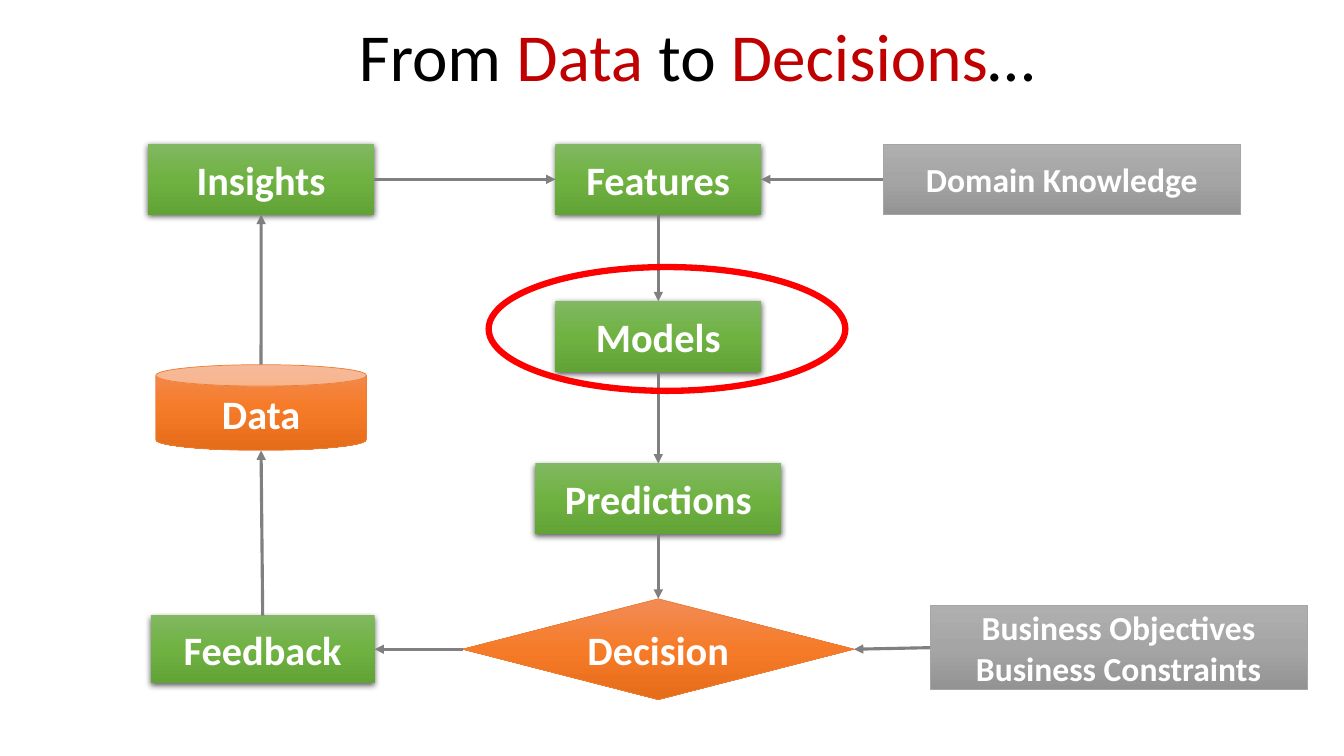
"""Build a flowchart slide that leads from data to decisions."""
from lxml.etree import SubElement
from pptx import Presentation
from pptx.dml.color import RGBColor
from pptx.enum.shapes import MSO_CONNECTOR as Connector, MSO_SHAPE as Shape
from pptx.enum.text import MSO_ANCHOR as Anchor, PP_ALIGN as Align
from pptx.oxml.ns import qn
from pptx.util import Cm, Pt

COLORS = {
    "black": "000000", "white": "FFFFFF", "accent": "C00000",
    "arrow": "808080", "ring": "FF0000", "orange": "ED7D31", "gray": "A5A5A5",
}
GRADIENTS = {
    "green": ("81B861", "6FB242", "62A336"),
    "orange": ("F18C57", "F67B28", "E56C19"),
    "gray": ("AFAFAF", "A5A5A5", "939393"),
}
TOP, LEFT, BOTTOM, RIGHT = range(4)


class FlowSlide:
    font = "Calibri"

    def __init__(self, page):
        self.page = page

    def color(self, name):
        return RGBColor.from_string(COLORS[name])

    def style(self, para, size, bold=False):
        para.alignment = Align.CENTER
        para.font.name = self.font
        para.font.size = Pt(size)
        para.font.bold = bold

    def title(self, pieces):
        box = self.page.shapes.add_textbox(Cm(1), Cm(0.13), Cm(31.98), Cm(2.74))
        frame = box.text_frame
        frame.word_wrap = True
        frame.vertical_anchor = Anchor.MIDDLE
        frame.margin_left, frame.margin_right = Cm(1.27), Cm(0.13)
        frame.margin_top = frame.margin_bottom = 0
        para = frame.paragraphs[0]
        self.style(para, 48)
        para.line_spacing = 0.9
        for text, color in pieces:
            span = para.add_run()
            span.text = text
            span.font.color.rgb = self.color(color)

    def shape(self, kind, x, y, width, height):
        shape = self.page.shapes.add_shape(
            kind, Cm(x - width / 2), Cm(y - height / 2), Cm(width), Cm(height))
        shape.shadow.inherit = False
        return shape

    def gradient(self, shape, name):
        shape.fill.gradient()
        shape.fill.gradient_angle = 270
        stops = shape._element.spPr.find(qn("a:gradFill")).find(qn("a:gsLst"))
        for stop in list(stops):
            stops.remove(stop)
        for index, value in enumerate(GRADIENTS[name]):
            stop = SubElement(stops, qn("a:gs"), pos=str(index * 50000))
            SubElement(stop, qn("a:srgbClr"), val=value)

    def drop_shadow(self, shape):
        effects = shape._element.spPr.find(qn("a:effectLst"))
        shadow = SubElement(
            effects, qn("a:outerShdw"), blurRad=str(Pt(4.5)), dist=str(Pt(1.5)),
            dir="5400000", algn="ctr", rotWithShape="0")
        tint = SubElement(shadow, qn("a:srgbClr"), val=COLORS["black"])
        SubElement(tint, qn("a:alpha"), val="63000")

    def node(self, lines, x, y, width, height=1.78, look="green",
             kind=Shape.RECTANGLE, size=28.8):
        node = self.shape(kind, x, y, width, height)
        self.gradient(node, look)
        if look == "green":
            node.line.fill.background()
            self.drop_shadow(node)
        else:
            node.line.color.rgb = self.color(look)
            node.line.width = Pt(0.5)
        frame = node.text_frame
        frame.word_wrap = True
        frame.vertical_anchor = Anchor.MIDDLE
        for index, text in enumerate(lines):
            para = frame.add_paragraph() if index else frame.paragraphs[0]
            para.text = text
            self.style(para, size, bold=True)
            para.font.color.rgb = self.color("white")
        return node

    def side_point(self, node, side):
        middle_x = node.left + node.width // 2
        middle_y = node.top + node.height // 2
        return {
            TOP: (middle_x, node.top),
            LEFT: (node.left, middle_y),
            BOTTOM: (middle_x, node.top + node.height),
            RIGHT: (node.left + node.width, middle_y),
        }[side]

    def arrow(self, start, start_side, end, end_side):
        arrow = self.page.shapes.add_connector(
            Connector.STRAIGHT, *self.side_point(start, start_side),
            *self.side_point(end, end_side))
        if start.auto_shape_type != Shape.CAN:
            arrow.begin_connect(start, start_side)
        if end.auto_shape_type != Shape.CAN:
            arrow.end_connect(end, end_side)
        arrow.line.color.rgb = self.color("arrow")
        arrow.line.width = Pt(2.25)
        SubElement(arrow.line._get_or_add_ln(), qn("a:tailEnd"), type="triangle")
        SubElement(arrow._element.spPr, qn("a:effectLst"))

    def ring(self, x, y, width, height):
        ring = self.shape(Shape.OVAL, x, y, width, height)
        ring.fill.background()
        ring.line.color.rgb = self.color("ring")
        ring.line.width = Pt(4.5)


def main():
    deck = Presentation()
    deck.slide_width, deck.slide_height = Cm(33.87), Cm(19.05)
    flow = FlowSlide(deck.slides.add_slide(deck.slide_layouts[6]))
    flow.title([("From ", "black"), ("Data ", "accent"), ("to ", "black"),
                ("Decisions", "accent"), ("…", "black")])

    left_x, main_x, top_y = 6.58, 16.59, 4.52
    insights = flow.node(["Insights"], left_x, top_y, 5.69)
    features = flow.node(["Features"], main_x, top_y, 5.18)
    models = flow.node(["Models"], main_x, 8.48, 5.18)
    predictions = flow.node(["Predictions"], main_x, 12.57, 6.2)
    knowledge = flow.node(["Domain Knowledge"], 26.76, top_y, 9.02,
                          look="gray", size=24)
    business = flow.node(["Business Objectives", "Business Constraints"],
                         28.19, 16.32, 9.5, 2.11, look="gray", size=24)
    feedback = flow.node(["Feedback"], 6.62, 16.36, 5.64, 1.7)
    data = flow.node(["Data"], left_x, 10.27, 5.31, 2.16, "orange", Shape.CAN)
    decision = flow.node(["Decision"], main_x, 16.36, 9.86, 2.54, "orange",
                         Shape.DIAMOND)

    for link in [
        (data, TOP, insights, BOTTOM),
        (insights, RIGHT, features, LEFT),
        (knowledge, LEFT, features, RIGHT),
        (features, BOTTOM, models, TOP),
        (models, BOTTOM, predictions, TOP),
        (predictions, BOTTOM, decision, TOP),
        (business, LEFT, decision, RIGHT),
        (decision, LEFT, feedback, RIGHT),
        (feedback, TOP, data, BOTTOM),
    ]:
        flow.arrow(*link)
    flow.ring(16.81, 8.29, 8.99, 3.12)
    deck.save("out.pptx")


if __name__ == "__main__":
    main()
